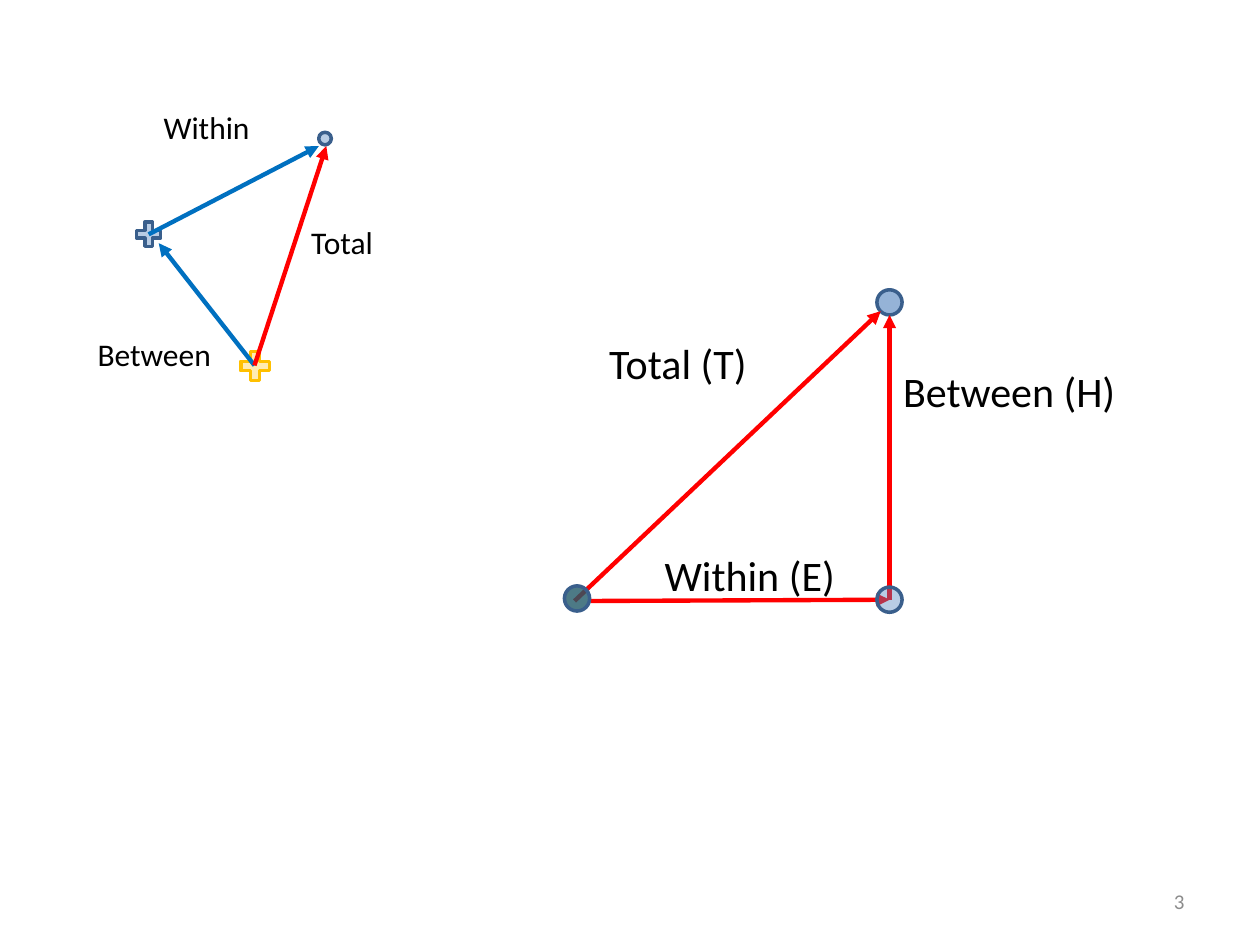
from dataclasses import dataclass

from lxml import etree
from pptx import Presentation
from pptx.dml.color import RGBColor
from pptx.enum import shapes, text
from pptx.oxml import ns
from pptx.util import Inches, Pt

COLORS = {
    "blue": "4F81BD", "outline": "3A5F8C", "gold": "FFC000", "teal": "215968",
    "arrow_blue": "0070C0", "red": "FF0000", "black": "000000", "gray": "8C8C8C",
}
PLUS = shapes.MSO_SHAPE.MATH_PLUS
DOT = shapes.MSO_SHAPE.FLOWCHART_CONNECTOR


@dataclass
class Marker:
    kind: shapes.MSO_SHAPE
    left: float
    top: float
    size: float
    opacity: int
    fill: str = "blue"
    line: str = "outline"


@dataclass
class Arrow:
    start: tuple[float, float]
    end: tuple[float, float]
    color: str = "red"


@dataclass
class Label:
    words: str
    left: float
    top: float
    width: float
    height: float
    size: int


def rgb(name: str) -> RGBColor:
    return RGBColor.from_string(COLORS[name])


def draw_marker(page, marker: Marker) -> None:
    shape = page.shapes.add_shape(
        marker.kind, Inches(marker.left), Inches(marker.top),
        Inches(marker.size), Inches(marker.size))
    shape.shadow.inherit = False
    shape.fill.solid()
    shape.fill.fore_color.rgb = rgb(marker.fill)
    shape.line.color.rgb = rgb(marker.line)
    shape.line.width = Pt(2)
    # Transparency of the fill
    color = shape.fill._xPr.find(".//" + ns.qn("a:srgbClr"))
    etree.SubElement(color, ns.qn("a:alpha"), val=str(marker.opacity * 1000))


def draw_arrow(page, arrow: Arrow) -> None:
    points = [Inches(value) for value in (*arrow.start, *arrow.end)]
    connector = page.shapes.add_connector(shapes.MSO_CONNECTOR.STRAIGHT, *points)
    connector.line.color.rgb = rgb(arrow.color)
    connector.line.width = Pt(2.5)
    # Arrowhead, and no shadow
    etree.SubElement(connector.line._get_or_add_ln(), ns.qn("a:tailEnd"), type="triangle")
    etree.SubElement(connector._element.spPr, ns.qn("a:effectLst"))


def add_text(page, label: Label, *, color: str = "black",
             align=text.PP_ALIGN.CENTER, anchor=text.MSO_ANCHOR.TOP,
             side_margin: float = 0) -> None:
    box = page.shapes.add_textbox(
        Inches(label.left), Inches(label.top), Inches(label.width), Inches(label.height))
    frame = box.text_frame
    frame.word_wrap = True
    frame.vertical_anchor = anchor
    frame.margin_left = frame.margin_right = Inches(side_margin)
    para = frame.paragraphs[0]
    para.alignment = align
    span = para.add_run()
    span.text = label.words
    span.font.name = "Calibri"
    span.font.size = Pt(label.size)
    span.font.color.rgb = rgb(color)


# Small triangle: group means and one observation
GRAND_MEAN, GROUP_MEAN = (2.02, 2.9), (1.18, 1.86)
SMALL_TRIANGLE = [
    Marker(PLUS, 1.87, 2.75, 0.31, 30, "gold", "gold"),
    Marker(PLUS, 1.05, 1.73, 0.26, 40),
    Marker(DOT, 2.53, 1.05, 0.1, 40),
    Arrow(GRAND_MEAN, (1.26, 1.93), "arrow_blue"),
    Arrow(GROUP_MEAN, (2.53, 1.16), "arrow_blue"),
    Arrow(GRAND_MEAN, (2.59, 1.16)),
    Label("Total", 2.33, 1.72, 0.77, 0.25, 18),
    Label("Between", 0.66, 2.61, 1.13, 0.38, 18),
    Label("Within", 1.19, 0.81, 0.9, 0.38, 18),
]

# Large right triangle: T, H and E
CORNER = (7.06, 4.76)
LARGE_TRIANGLE = [
    Marker(DOT, 6.96, 2.3, 0.2, 60),
    Arrow((4.56, 4.77), (6.99, 2.47)),
    Arrow((4.69, 4.77), CORNER),
    Arrow(CORNER, (7.06, 2.5)),
    Marker(DOT, 4.48, 4.65, 0.2, 80, "teal"),
    Marker(DOT, 6.96, 4.66, 0.2, 40),
    Label("Total (T)", 4.56, 2.63, 1.64, 0.5, 24),
    Label("Within (E)", 5.09, 4.31, 1.72, 0.5, 24),
    Label("Between (H)", 7.01, 2.85, 2, 0.5, 24),
]

DRAWERS = {Marker: draw_marker, Arrow: draw_arrow, Label: add_text}


def main() -> None:
    deck = Presentation()
    deck.slide_width, deck.slide_height = Inches(10), Inches(7.5)
    page = deck.slides.add_slide(deck.slide_layouts[6])

    for item in SMALL_TRIANGLE + LARGE_TRIANGLE:
        DRAWERS[type(item)](page, item)

    # Slide number
    add_text(page, Label("3", 7.17, 6.95, 2.33, 0.4, 12), color="gray",
             align=text.PP_ALIGN.RIGHT, anchor=text.MSO_ANCHOR.MIDDLE, side_margin=0.1)
    deck.save("out.pptx")


if __name__ == "__main__":
    main()
